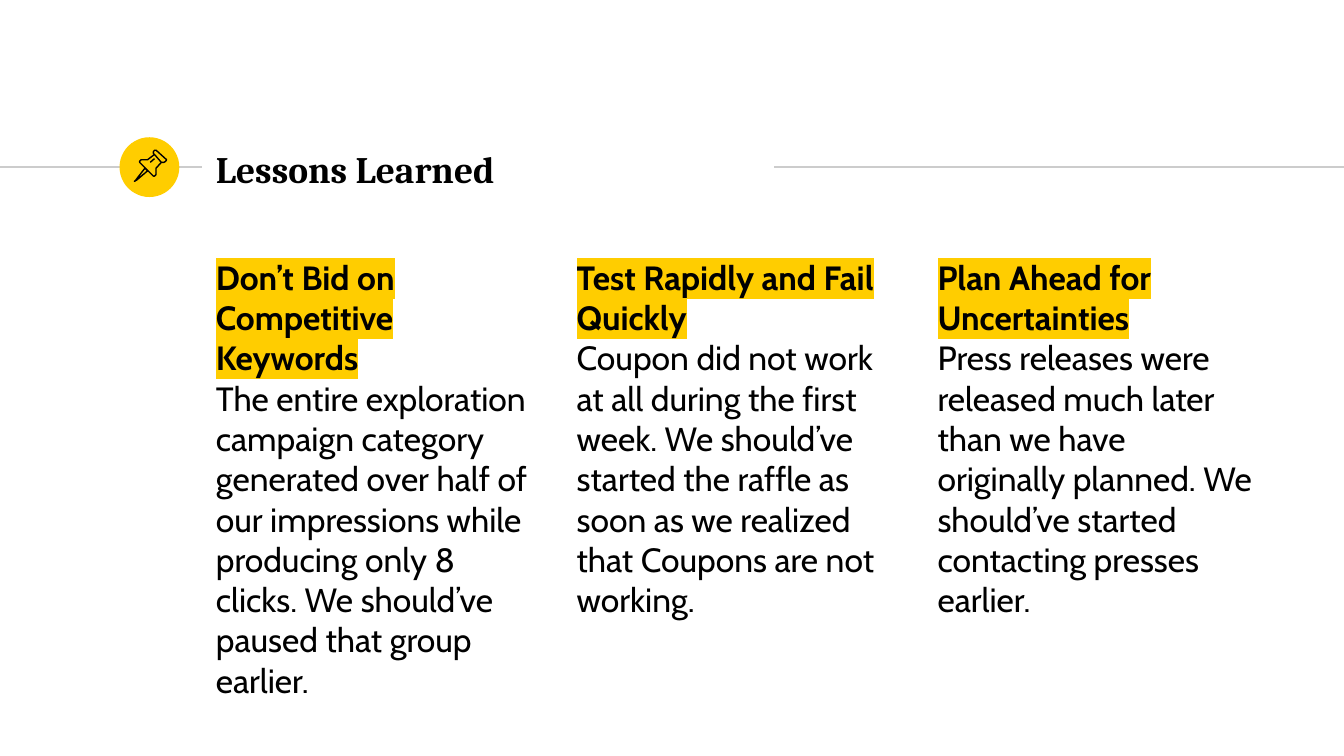
from lxml import etree
from pptx import Presentation
from pptx.dml.color import RGBColor
from pptx.enum.shapes import MSO_CONNECTOR, MSO_SHAPE
from pptx.enum.text import MSO_ANCHOR
from pptx.oxml.ns import qn
from pptx.util import Cm, Pt

STRAIGHT = MSO_CONNECTOR.STRAIGHT
OVAL = MSO_SHAPE.OVAL
TOP, MIDDLE = MSO_ANCHOR.TOP, MSO_ANCHOR.MIDDLE

YELLOW, BLACK, GREY = "FFCD00", "000000", "CCCCCC"

TITLE = "Lessons Learned"
LESSONS = [
    ("Don’t Bid on Competitive Keywords",
     "The entire exploration campaign category generated over half of our "
     "impressions while producing only 8 clicks. We should’ve paused that "
     "group earlier."),
    ("Test Rapidly and Fail Quickly",
     "Coupon did not work at all during the first week. We should’ve started "
     "the raffle as soon as we realized that Coupons are not working."),
    ("Plan Ahead for Uncertainties",
     "Press releases were released much later than we have originally "
     "planned. We should’ve started contacting presses earlier."),
]

TITLE_FONT = {"name": "Cambria", "size": Pt(20), "bold": True}
HEADING_FONT = {"name": "Cabin", "size": Pt(18), "bold": True}
BODY_FONT = {**HEADING_FONT, "bold": False}

PAGE_WIDTH, PAGE_HEIGHT = 25.4, 14.29
RULE_TOP = 3.16
RULES = [(0, 3.81), (14.63, PAGE_WIDTH)]
BADGE_LEFT, BADGE_SIZE = 2.26, 1.13
TEXT_LEFT = 3.83
TITLE_BOX = (TEXT_LEFT, 2.57, 10.77, 1.22)
COLUMN_TOP, COLUMN_WIDTH, COLUMN_HEIGHT = 4.6, 6.49, 8.66
COLUMN_STEP = 6.82

PIN_PARTS = [
    (True, [(2.74, 3.18), (2.57, 3.4), (2.54, 3.43), (2.59, 3.4), (2.79, 3.23)]),
    (True, [(2.92, 2.92), (3.05, 3.07), (3.1, 3.07), (3.13, 3.05), (3.15, 3.02),
            (2.95, 2.84), (2.92, 2.84), (2.9, 2.87), (2.9, 2.9)]),
    (False, [(2.92, 2.92), (2.79, 3.02), (2.72, 3.02), (2.67, 3.02),
             (2.64, 3.05), (2.64, 3.07), (2.9, 3.33), (2.92, 3.33),
             (2.95, 3.3), (2.95, 3.23), (2.95, 3.18), (3.05, 3.07)]),
    (False, [(2.84, 3.07), (2.92, 3)]),
]


def color(value):
    return RGBColor.from_string(value)


def add_rule(page, start, end):
    rule = page.shapes.add_connector(
        STRAIGHT, Cm(start), Cm(RULE_TOP), Cm(end), Cm(RULE_TOP))
    rule.line.color.rgb = color(GREY)
    rule.line.width = Pt(0.75)
    etree.SubElement(rule._element.spPr, qn("a:effectLst"))


def add_badge(page):
    badge = page.shapes.add_shape(
        OVAL, Cm(BADGE_LEFT), Cm(RULE_TOP - BADGE_SIZE / 2),
        Cm(BADGE_SIZE), Cm(BADGE_SIZE))
    badge.shadow.inherit = False
    badge.fill.solid()
    badge.fill.fore_color.rgb = color(YELLOW)
    badge.line.fill.background()


def add_pin(page):
    group = page.shapes.add_group_shape()
    for closed, points in PIN_PARTS:
        corners = [(Cm(x), Cm(y)) for x, y in points]
        builder = group.shapes.build_freeform(*corners[0])
        builder.add_line_segments(corners[1:], close=closed)
        part = builder.convert_to_shape()
        part.shadow.inherit = False
        part.fill.background()
        part.line.color.rgb = color(BLACK)
        part.line.width = Pt(0.75)


def add_text(page, place, anchor, paragraphs):
    box = page.shapes.add_textbox(*(Cm(length) for length in place))
    frame = box.text_frame
    frame.word_wrap = True
    frame.vertical_anchor = anchor
    for side in ("left", "top", "right", "bottom"):
        setattr(frame, f"margin_{side}", Cm(0.25))
    for index, (text, font, highlight) in enumerate(paragraphs):
        para = frame.add_paragraph() if index else frame.paragraphs[0]
        span = para.add_run()
        span.text = text
        span.font.color.rgb = color(BLACK)
        if highlight:
            mark = etree.SubElement(span.font._element, qn("a:highlight"))
            etree.SubElement(mark, qn("a:srgbClr"), val=highlight)
        for name, value in font.items():
            setattr(span.font, name, value)


def main():
    deck = Presentation()
    deck.slide_width, deck.slide_height = Cm(PAGE_WIDTH), Cm(PAGE_HEIGHT)
    page = deck.slides.add_slide(deck.slide_layouts[6])
    for start, end in RULES:
        add_rule(page, start, end)
    add_badge(page)
    add_text(page, TITLE_BOX, MIDDLE, [(TITLE, TITLE_FONT, None)])
    for index, (heading, body) in enumerate(LESSONS):
        place = (TEXT_LEFT + index * COLUMN_STEP, COLUMN_TOP,
                 COLUMN_WIDTH, COLUMN_HEIGHT)
        add_text(page, place, TOP, [(heading, HEADING_FONT, YELLOW),
                                    (body, BODY_FONT, None)])
    add_pin(page)
    deck.save("out.pptx")


if __name__ == "__main__":
    main()
